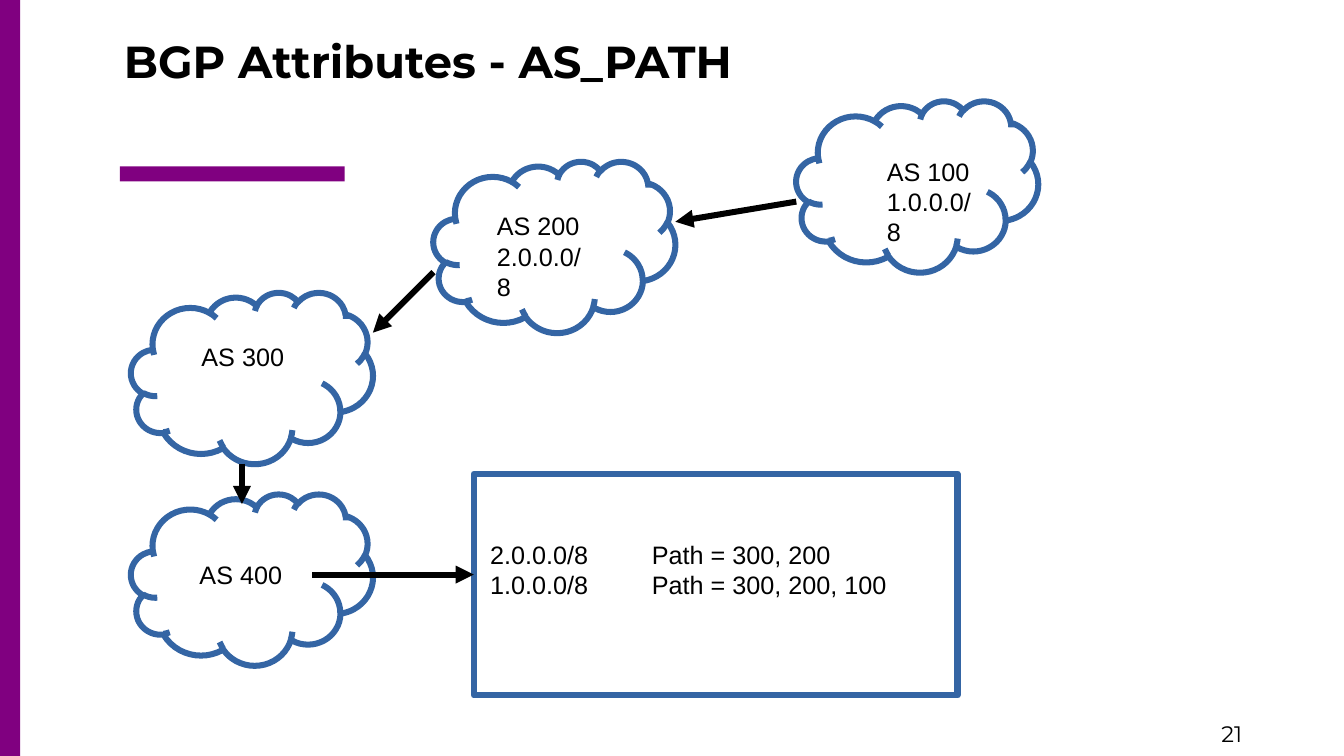
from lxml import etree
from pptx import Presentation
from pptx.dml.color import RGBColor
from pptx.enum.shapes import MSO_CONNECTOR, MSO_SHAPE
from pptx.enum.text import MSO_ANCHOR, MSO_AUTO_SIZE, PP_ALIGN
from pptx.oxml.ns import qn
from pptx.util import Pt

PURPLE = RGBColor(0x80, 0x00, 0x80)
BLUE = RGBColor(0x34, 0x65, 0xA4)
BLACK = RGBColor(0x00, 0x00, 0x00)
STROKE = Pt(4.31)


def add_outline(kind, left, top, width, height):
    shape = slide.shapes.add_shape(kind, Pt(left), Pt(top), Pt(width), Pt(height))
    shape.shadow.inherit = False
    shape.fill.background()
    shape.line.color.rgb = BLUE
    shape.line.width = STROKE
    return shape


def add_text(left, top, width, height, lines, size=18, font="Arial", tab=None):
    frame = slide.shapes.add_textbox(Pt(left), Pt(top), Pt(width), Pt(height)).text_frame
    frame.word_wrap = False
    frame.text = "\n".join(lines)
    for paragraph in frame.paragraphs:
        if tab:
            tabs = etree.SubElement(paragraph._p.get_or_add_pPr(), qn("a:tabLst"))
            etree.SubElement(tabs, qn("a:tab"), pos=str(Pt(tab)), algn="l")
        paragraph.font.name = font
        paragraph.font.size = Pt(size)
        paragraph.font.color.rgb = BLACK
    return frame


prs = Presentation()
prs.slide_width, prs.slide_height = Pt(960), Pt(540)
slide = prs.slides.add_slide(prs.slide_layouts[5])

# Purple accent bars
for left, top, width, height in [(85.7, 118.8, 160.6, 10.8), (0, 0, 14.4, 540)]:
    bar = add_outline(MSO_SHAPE.RECTANGLE, left, top, width, height)
    bar.fill.solid()
    bar.fill.fore_color.rgb = PURPLE
    bar.line.fill.background()

# Slide number
add_text(865.4, 511.2, 93.6, 28.8, ["21"], 16, "Montserrat").word_wrap = True

# Title
title = slide.shapes.title
title.left, title.top, title.width, title.height = Pt(64), Pt(-48.2), Pt(869.8), Pt(113)
heading = title.text_frame
heading.text = "BGP Attributes - AS_PATH"
heading.vertical_anchor = MSO_ANCHOR.BOTTOM
heading.auto_size = MSO_AUTO_SIZE.NONE
heading.margin_left, heading.margin_bottom = Pt(24.5), Pt(2)
heading.paragraphs[0].alignment = PP_ALIGN.LEFT
heading_font = heading.paragraphs[0].font
heading_font.name, heading_font.size, heading_font.bold = "Montserrat", Pt(32), True
heading_font.color.rgb = BLACK

# Clouds of the autonomous systems
for left, top in [(93.6, 208.8), (309.6, 115.2), (568.8, 72), (93.6, 352.8)]:
    add_outline(MSO_SHAPE.CLOUD, left, top, 172.8, 122.4)

# Frame of the path list
add_outline(MSO_SHAPE.RECTANGLE, 338.4, 338.4, 345.6, 158.4)

# Announcement arrows
for ends in [(568.8, 144, 482.4, 158.4), (309.6, 194.4, 266.4, 237.6),
             (172.8, 331.2, 172.8, 360), (223.2, 410.4, 338.4, 410.4)]:
    arrow = slide.shapes.add_connector(MSO_CONNECTOR.STRAIGHT, *(Pt(v) for v in ends))
    arrow.line.color.rgb = BLACK
    arrow.line.width = STROKE
    properties = arrow._element.spPr
    etree.SubElement(properties.find(qn("a:ln")), qn("a:tailEnd"), type="triangle")
    etree.SubElement(properties, qn("a:effectLst"))

# Cloud labels
for left, top, width, lines in [
    (626.4, 108, 84.2, ["AS 100", "1.0.0.0/8"]),
    (347.8, 146.9, 84.2, ["AS 200", "2.0.0.0/8"]),
    (136.8, 240.5, 73.4, ["AS 300"]),
    (135.4, 396, 73.4, ["AS 400"]),
]:
    add_text(left, top, width, 47.5, lines)

# Paths seen by AS 400
routes = add_text(338.4, 381.6, 320, 47.5, [
    "2.0.0.0/8\tPath = 300, 200",
    "1.0.0.0/8\tPath = 300, 200, 100",
], tab=115.5)
routes.word_wrap = True
routes.margin_left = Pt(11.7)

prs.save("out.pptx")
